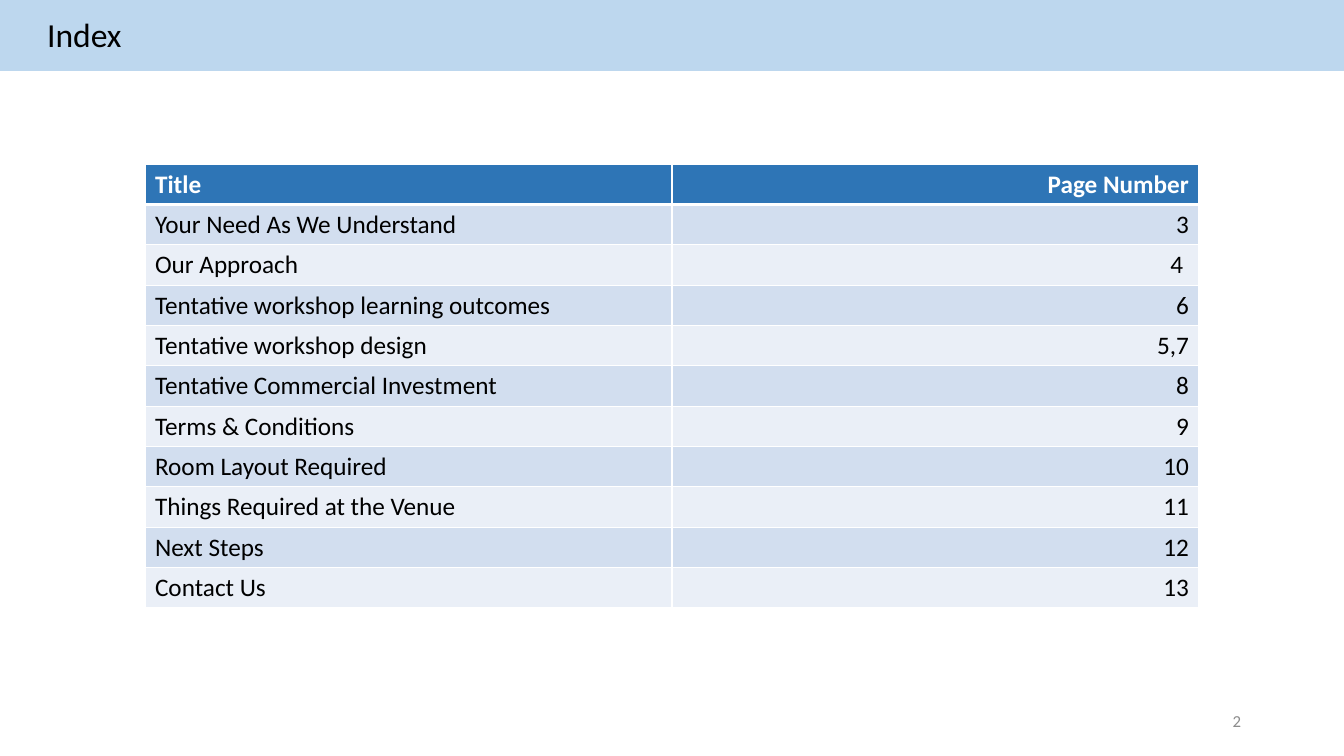
from lxml.etree import SubElement as Sub
from pptx import Presentation
from pptx.dml.color import RGBColor as RGB
from pptx.enum.shapes import MSO_SHAPE as Shape
from pptx.enum.text import MSO_ANCHOR as Anchor, MSO_AUTO_SIZE as Fit, PP_ALIGN as Align
from pptx.oxml.ns import qn
from pptx.util import Emu, Pt

SKY = RGB(0xBD, 0xD7, 0xEE)
BLUE = RGB(0x2E, 0x75, 0xB6)
DARK = RGB(0xD2, 0xDE, 0xEF)
LIGHT = RGB(0xEA, 0xEF, 0xF7)
WHITE = RGB(0xFF, 0xFF, 0xFF)
BLACK = RGB(0, 0, 0)
GREY = RGB(0x8C, 0x8C, 0x8C)

ROWS = [
    ("Title", "Page Number"),
    ("Your Need As We Understand", "3"),
    ("Our Approach", "4 "),
    ("Tentative workshop learning outcomes", "6"),
    ("Tentative workshop design", "5,7"),
    ("Tentative Commercial Investment", "8"),
    ("Terms & Conditions", "9"),
    ("Room Layout Required", "10"),
    ("Things Required at the Venue", "11"),
    ("Next Steps", "12"),
    ("Contact Us", "13"),
]


def px(n):
    """Turn pixels into EMU."""
    return Emu(round(n * 914400 / 100.8))


def write(frame, text, size, color, align=Align.LEFT, bold=False):
    """Write one styled paragraph into a text frame."""
    frame.text = text
    para = frame.paragraphs[0]
    para.alignment = align
    font = para.font
    font.name, font.size, font.bold = "Calibri", Pt(size), bold
    font.color.rgb = color


def edge(cell, side, width):
    """Draw one white border of a cell."""
    props = cell._tc.get_or_add_tcPr()
    line = Sub(props, qn("a:ln" + side), w=str(Pt(width)))
    fill = Sub(line, qn("a:solidFill"))
    Sub(fill, qn("a:srgbClr"), val=str(WHITE))


def header(slide, x, y, w, h):
    """Place the band and the title on it."""
    band = slide.shapes.add_shape(Shape.RECTANGLE, px(x), px(y), px(w), px(h))
    band.shadow.inherit = False
    band.fill.solid()
    band.fill.fore_color.rgb = SKY
    band.line.fill.background()
    title = slide.shapes.title
    title.element.addprevious(band.element)
    title.left, title.top = px(x + 37), px(y + 11)
    title.width, title.height = px(96), px(50)
    frame = title.text_frame
    write(frame, "Index", 24, BLACK)
    frame.word_wrap = False
    frame.auto_size = Fit.SHAPE_TO_FIT_TEXT
    frame.vertical_anchor = Anchor.TOP


def index(slide, x, y, w, h):
    """Place the table of titles and page numbers."""
    count = len(ROWS)
    table = slide.shapes.add_table(count, 2, px(x), px(y), px(w), px(h)).table
    for r, row in enumerate(ROWS):
        table.rows[r].height = px(h / count)
        head = r == 0
        for c, text in enumerate(row):
            cell = table.cell(r, c)
            write(cell.text_frame, text, 18, WHITE if head else BLACK,
                  Align.RIGHT if c else Align.LEFT, head)
            edge(cell, "L", 1)
            edge(cell, "R", 1)
            edge(cell, "T", 3 if r == 1 else 1)
            edge(cell, "B", 3 if head else 1)
            cell.fill.solid()
            cell.fill.fore_color.rgb = BLUE if head else DARK if r % 2 else LIGHT


def footer(slide, x, y, w, h):
    """Place the page number."""
    frame = slide.shapes.add_textbox(px(x), px(y), px(w), px(h)).text_frame
    frame.word_wrap = True
    frame.vertical_anchor = Anchor.MIDDLE
    write(frame, "2", 12, GREY, Align.RIGHT)


def main():
    """Build the index slide and save it."""
    deck = Presentation()
    deck.slide_width, deck.slide_height = px(1344), px(756)
    slide = deck.slides.add_slide(deck.slide_layouts[5])
    header(slide, 0, -2, 1344, 73)
    index(slide, 145, 164, 1054, 444)
    footer(slide, 949, 701, 302, 40)
    deck.save("out.pptx")


if __name__ == "__main__":
    main()
